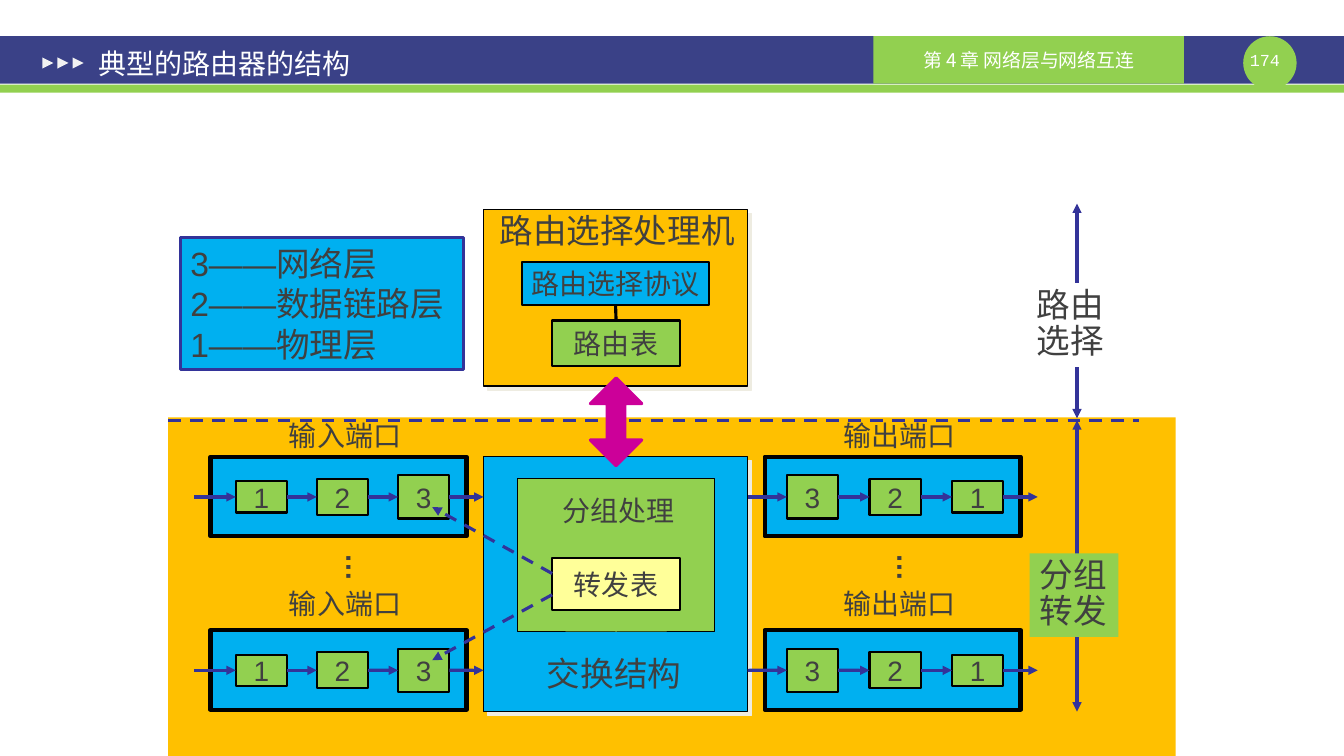
"""Draw a slide on the structure of a typical router, on a grid of tenths of an inch."""
import pptx
import pptx.dml.color
import pptx.enum.dml
import pptx.enum.shapes
import pptx.enum.text
import pptx.oxml
import pptx.oxml.ns
import pptx.util

CELL = pptx.util.Inches(0.1)
SHAPE = pptx.enum.shapes.MSO_SHAPE
ANCHOR = pptx.enum.text.MSO_ANCHOR
ALIGN = pptx.enum.text.PP_ALIGN
rgb = pptx.dml.color.RGBColor.from_string
qn = pptx.oxml.ns.qn

NAVY, GREEN, BLUE, AMBER = "3A4187", "92D050", "00B0F0", "FFC000"
ARROW, TEXT, BLACK, WHITE = "333399", "404040", "000000", "FFFFFF"

prs = pptx.Presentation()
prs.slide_width, prs.slide_height = int(133.4 * CELL), 75 * CELL
slide = prs.slides.add_slide(prs.slide_layouts[6])


def box(col, row, cols, rows, fill=None, line=None, width=1.5, text="", size=20,
        color=TEXT, font="Arial", kind=SHAPE.RECTANGLE, center=True, wrap=False):
    """Add a shape, or a text box when it has neither fill nor line."""
    place = [int(v * CELL) for v in (col, row, cols, rows)]
    if fill:
        s = slide.shapes.add_shape(kind, *place)
        s.shadow.inherit = False
        s.fill.solid()
        s.fill.fore_color.rgb = rgb(fill)
        if line:
            s.line.color.rgb = rgb(line)
            s.line.width = pptx.util.Pt(width)
        else:
            s.line.fill.background()
    else:
        s = slide.shapes.add_textbox(*place)
    if text:
        tf = s.text_frame
        tf.text = text
        tf.word_wrap = wrap
        tf.vertical_anchor = ANCHOR.MIDDLE if center else ANCHOR.TOP
        for p in tf.paragraphs:
            p.alignment = ALIGN.CENTER if center else ALIGN.LEFT
            for r in p.runs:
                r.font.size = pptx.util.Pt(size)
                r.font.name = font
                r.font.color.rgb = rgb(color)
    return s


def line(col1, row1, col2, row2, ends=(), color=ARROW, dash=False):
    """Add a straight connector with arrowheads at the named ends."""
    s = slide.shapes.add_connector(pptx.enum.shapes.MSO_CONNECTOR.STRAIGHT,
                                   *[int(v * CELL) for v in (col1, row1, col2, row2)])
    s.line.color.rgb = rgb(color)
    s.line.width = pptx.util.Pt(2.25)
    if dash:
        s.line.dash_style = pptx.enum.dml.MSO_LINE.DASH
    ln = s.line._get_or_add_ln()
    for end in ends:
        ln.append(pptx.oxml.parse_xml(
            f'<a:{end} {pptx.oxml.ns.nsdecls("a")} type="triangle"/>'))
    s._element.spPr.append(pptx.oxml.parse_xml(
        f'<a:effectLst {pptx.oxml.ns.nsdecls("a")}/>'))
    return s


TAIL, BOTH = ("tailEnd",), ("headEnd", "tailEnd")

box(0, 3.6, 133.4, 4.7, NAVY)
box(0, 8.4, 133.4, 0.8, GREEN)
box(123.4, 3.6, 5.3, 5.3, GREEN, kind=SHAPE.OVAL)
box(122.4, 4.5, 6.3, 2.8, text="174", size=12, color=WHITE, font="Courier New")
box(86.7, 3.6, 30.8, 4.7, GREEN, text="第 4 章 网络层与网络互连", size=13.5,
    color=WHITE, font="Noto Sans CJK SC", wrap=True)
for i in range(3):
    box(4.2 + 1.5 * i, 5.7, 1.1, 1.1, "F2F2F2", kind=SHAPE.ISOSCELES_TRIANGLE).rotation = 90
title = box(8.5, 3.9, 58.3, 4.7, text="典型的路由器的结构", color=WHITE, wrap=True)
title.text_frame.paragraphs[0].alignment = ALIGN.LEFT
title.text_frame.margin_left = pptx.util.Inches(0.13)

box(16.7, 41.4, 100, 33.6, AMBER)
processor = box(48, 20.8, 26.2, 17.5, AMBER, BLACK, 1)
switch = box(48, 45.3, 26.2, 25.3, BLUE, BLACK, 1)
for s in (processor, switch):
    s._element.spPr.find(qn("a:effectLst")).append(pptx.oxml.parse_xml(
        f'<a:outerShdw {pptx.oxml.ns.nsdecls("a")} blurRad="0" dist="53340" dir="2700000">'
        '<a:srgbClr val="EEECE1"/></a:outerShdw>'))

protocol = box(51.8, 26, 18.6, 4.3, BLUE, BLACK, text="路由选择协议")
table = box(54.8, 31.8, 12.7, 4.5, GREEN, BLACK, text="路由表")
link = line(61.1, 30.3, 61.1, 31.8, color=BLACK)
link.begin_connect(protocol, 2)
link.end_connect(table, 0)

layer_rows = {"1": 3.1, "2": 3.6, "3": 4.3}
ports = [("输入端口", 20.9, 23.4, 8.05, "123", 19.3, 48),
         ("输出端口", 75.9, 78.1, 8.2, "321", 74.2, 103)]
for middle, label_row in ((49.3, 41), (66.5, 57.7)):
    for name, frame, first, pitch, layers, start, stop in ports:
        box(frame, middle - 4, 25.4, 7.9, BLUE, BLACK, 3)
        box(frame + 6.8, label_row, 13.1, 4.3, text=name, center=False)
        before = None
        for i, layer in enumerate(layers):
            rows = layer_rows[layer]
            s = box(first + pitch * i, middle - rows / 2, 5.1, rows, GREEN, BLACK, text=layer)
            arrow = line(start, middle, first, middle, TAIL)
            if before:
                arrow.begin_connect(before, 3)
            arrow.end_connect(s, 1)
            before = s
        line(start, middle, stop, middle, TAIL).begin_connect(before, 3)

for col in (33.1, 87.8):
    dots = box(col, 54.2, 4.8, 4.3, text="…", center=False)
    dots.rotation = 90
    dots.text_frame.paragraphs[0].runs[0].font.bold = True

box(51.4, 47.5, 19.5, 15.2, GREEN, BLACK, 0.75)
box(54.8, 55.4, 12.7, 5.1, "FFFF99", BLACK, text="转发表")
for row1, row2 in ((56.9, 50.3), (59, 65.5)):
    line(54.8, row1, 42.9, row2, TAIL, dash=True)

for col, row, cols, rows, text, size in ((48.6, 20.3, 25.3, 5, "路由选择处理机", 24),
                                         (53.3, 64.3, 15.3, 5, "交换结构", 24),
                                         (54.8, 48.5, 13.1, 4.3, "分组处理", 20)):
    box(col, row, cols, rows, text=text, size=size, center=False)

line(16.7, 41.7, 113.1, 41.7, dash=True)
for top, bottom, col, row, fill, text in ((20.2, 41.5, 101.9, 28.1, WHITE, "路由\n选择"),
                                          (41.7, 70.6, 102.2, 54.9, GREEN, "分组\n转发")):
    line(106.9, top, 106.9, bottom, BOTH)
    s = box(col, row, 8.8, 8.3, fill, text=text, size=24, center=False)
    for p in s.text_frame.paragraphs:
        p.line_spacing = 0.9

box(17.9, 23.6, 28.1, 13.1, BLUE, ARROW, 2.25, "3——网络层\n2——数据链路层\n1——物理层", 24,
    center=False)
exchange = box(58.6, 37.5, 5.1, 8.7, "CC0099", "CC0099", 2.25, kind=SHAPE.UP_DOWN_ARROW)
exchange.adjustments[0], exchange.adjustments[1] = 0.5, 0.34

prs.save("out.pptx")
